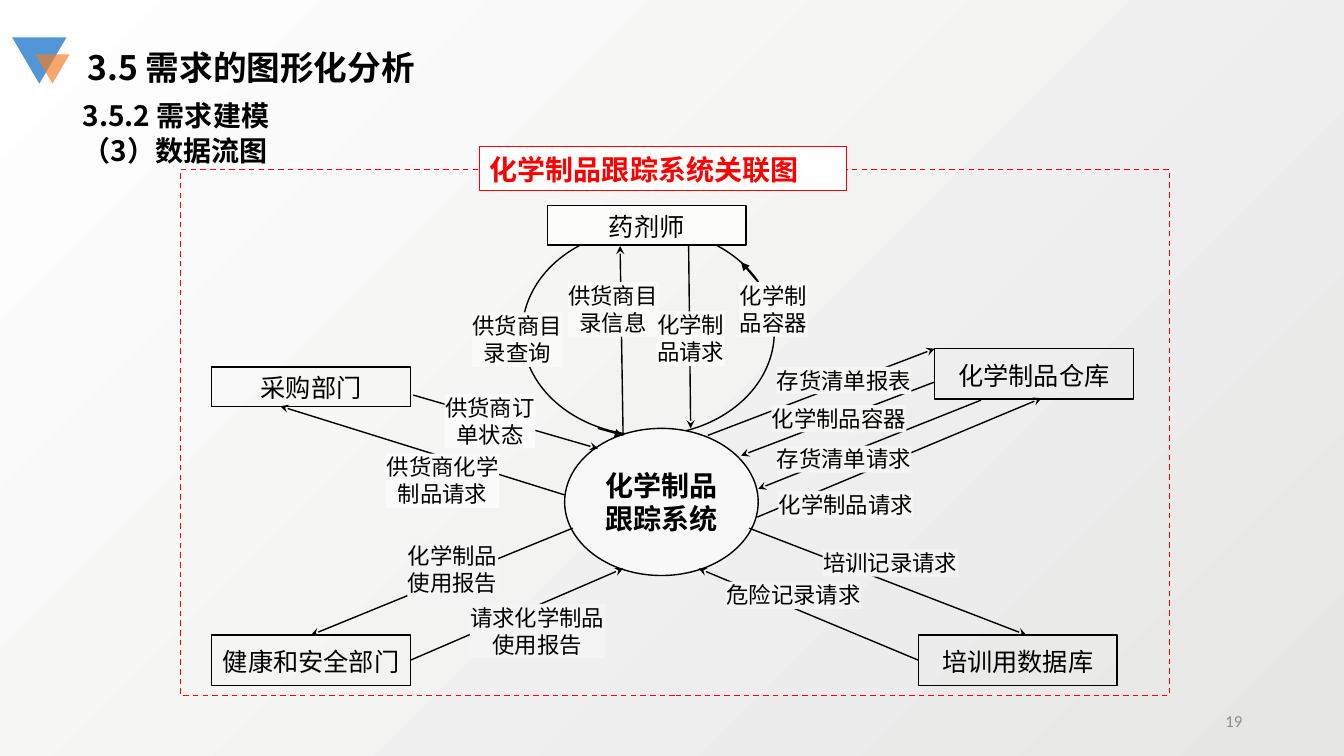
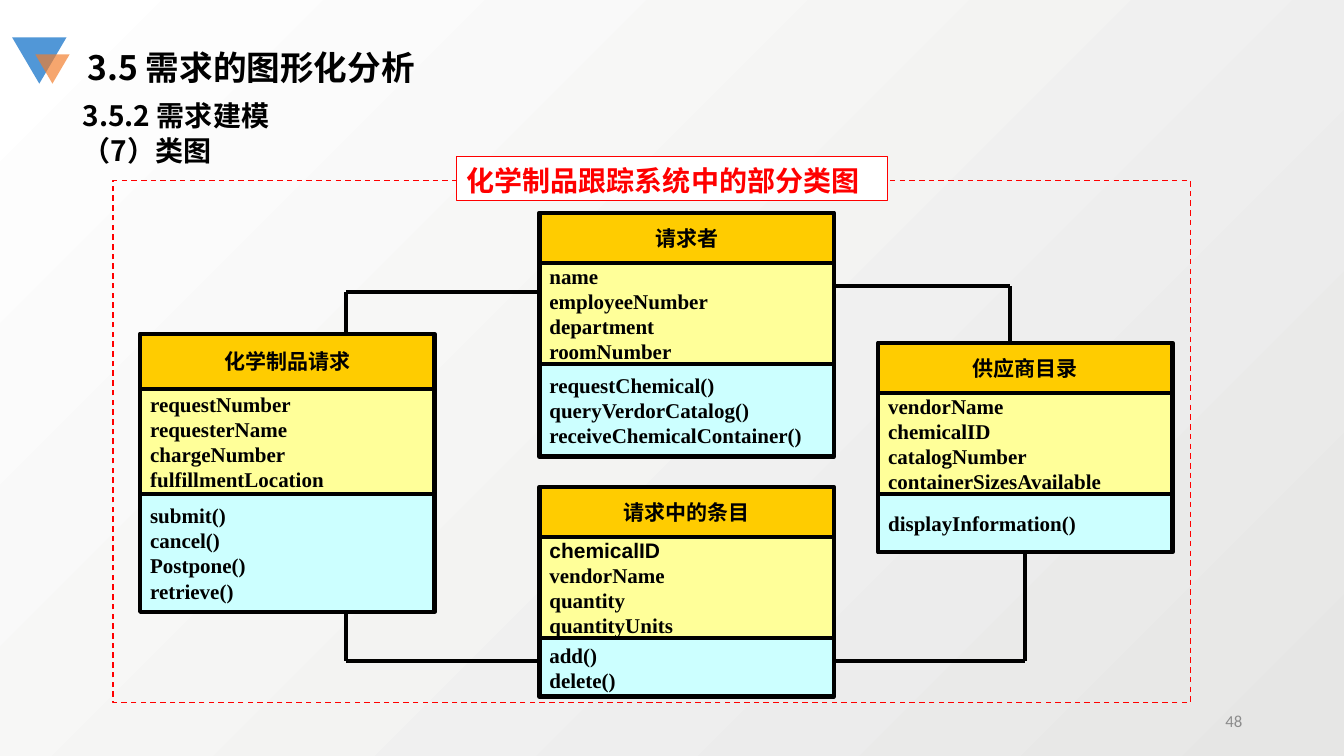
from lxml.etree import SubElement
from pptx import Presentation
from pptx.dml.color import RGBColor
from pptx.enum.dml import MSO_LINE
from pptx.enum.shapes import MSO_CONNECTOR, MSO_SHAPE as Kind
from pptx.enum.text import MSO_ANCHOR as Anchor, MSO_AUTO_SIZE as Fit, PP_ALIGN as Align
from pptx.oxml.ns import qn
from pptx.util import Inches, Pt

hue = RGBColor.from_string
NOTO, TIMES = "Noto Sans CJK SC", "Times New Roman"
BLACK, RED, WHITE = "000000", "FF0000", "FFFFFF"
BLUE, ORANGE, GRAY = "5197D7", "F37D2A", "8C8C8C"
GOLD, YELLOW, CYAN = "FFCC00", "FFFF99", "CCFFFF"


def draw(slide, kind, box, fill=None, line=None, width=1):
    shape = slide.shapes.add_shape(kind, *[Inches(v) for v in box])
    shape.shadow.inherit = False
    if fill:
        shape.fill.solid()
        shape.fill.fore_color.rgb = hue(fill)
    else:
        shape.fill.background()
    if line:
        shape.line.color.rgb = hue(line)
        shape.line.width = Pt(width)
    else:
        shape.line.fill.background()
    return shape


def write(shape, lines, size, bold=False, color=BLACK, font=NOTO,
          align=Align.CENTER, anchor=Anchor.MIDDLE, lead=1.2):
    """Fill the shape with one paragraph per line; lead is line pitch over size."""
    frame = shape.text_frame
    frame.word_wrap = True
    frame.auto_size = Fit.NONE
    frame.vertical_anchor = anchor
    for i, line in enumerate(lines):
        para = frame.add_paragraph() if i else frame.paragraphs[0]
        para.alignment = align
        para.line_spacing = Pt(size * lead)
        para.space_before = Pt(0)
        run = para.add_run()
        run.text = line
        run.font.size = Pt(size)
        run.font.bold = bold
        run.font.color.rgb = hue(color)
        run.font.name = font
        SubElement(run.font._element, qn("a:ea"), typeface=NOTO)


deck = Presentation()
deck.slide_width, deck.slide_height = Inches(13.33), Inches(7.5)
back = deck.slide_master.background.fill
back.gradient()
back.gradient_angle = 135
for stop, color in zip(back.gradient_stops, ("E6E6E5", WHITE)):
    stop.color.rgb = hue(color)

# Shared heading, corner mark, dashed frame, banner and page number
pages = [
    ("（3）数据流图", "19", (1.79, 1.68, 9.81, 5.22),
     "化学制品跟踪系统关联图", (4.76, 1.45, 3.64, 0.44)),
    ("（7）类图", "48", (1.12, 1.79, 10.69, 5.18),
     "化学制品跟踪系统中的部分类图", (4.53, 1.55, 4.27, 0.44)),
]
for topic, number, area, caption, place in pages:
    slide = deck.slides.add_slide(deck.slide_layouts[1])
    title, body = slide.placeholders
    heads = [
        (title, (0.77, 0.4, 4.42, 0.5), ["3.5 需求的图形化分析"], 24),
        (body, (0.72, 0.91, 8.49, 0.77), ["3.5.2 需求建模", topic], 20),
    ]
    for holder, box, lines, size in heads:
        holder.left, holder.top, holder.width, holder.height = [Inches(v) for v in box]
        write(holder, lines, size, True, align=Align.LEFT, anchor=Anchor.TOP, lead=1.25)
    for para in body.text_frame.paragraphs:
        props = para._p.get_or_add_pPr()
        props.set("marL", "0")
        props.set("indent", "0")
        SubElement(props, qn("a:buNone"))

    for box, color in [((0.12, 0.37, 0.54, 0.46), BLUE), ((0.35, 0.54, 0.34, 0.29), ORANGE)]:
        mark = draw(slide, Kind.ISOSCELES_TRIANGLE, box, color)
        mark.rotation = 180
    tint = mark.fill._xPr.find(qn("a:solidFill"))[0]
    SubElement(tint, qn("a:alpha"), val="68000")

    border = draw(slide, Kind.RECTANGLE, area, line=RED)
    border.line.dash_style = MSO_LINE.DASH
    banner = draw(slide, Kind.RECTANGLE, place, WHITE, RED, 0.75)
    write(banner, [caption], 20, True, RED, align=Align.LEFT, lead=1.3)
    foot = slide.shapes.add_textbox(Inches(9.42), Inches(6.95), Inches(3), Inches(0.4))
    write(foot, [number], 12, color=GRAY, font="Calibri", align=Align.RIGHT)

flow, model = deck.slides

# Data flow: the system and the parties around it
draw(flow, Kind.OVAL, (5.18, 2.27, 2.5, 2.05), line=BLACK)
parties = [
    ("药剂师", 5.43, 2.04, 0.39, "FCFCFB"),
    ("采购部门", 2.1, 3.64, 0.39, None),
    ("化学制品仓库", 9.27, 3.46, 0.5, None),
    ("健康和安全部门", 2.1, 6.3, 0.5, None),
    ("培训用数据库", 9.11, 6.3, 0.5, None),
]
nodes = {}
for name, x, y, high, fill in parties:
    nodes[name] = draw(flow, Kind.RECTANGLE, (x, y, 1.97, high), fill, BLACK)
    write(nodes[name], [name], 18, lead=1.3)
    nodes[name].text_frame.margin_left = nodes[name].text_frame.margin_right = 0
hub = draw(flow, Kind.OVAL, (5.6, 4.25, 1.92, 1.46), "F8F8F8", BLACK)
write(hub, ["化学制品", "跟踪系统"], 20, True)

# Class boxes: name, attributes and operations stacked
classes = [
    (5.35, 2.11, (0.5, 1, 0.92), "请求者",
     ["name", "employeeNumber", "department", "roomNumber"],
     ["requestChemical()", "queryVerdorCatalog()", "receiveChemicalContainer()"]),
    (8.71, 3.4, (0.5, 1, 0.58), "供应商目录",
     ["vendorName", "chemicalID", "catalogNumber", "containerSizesAvailable"],
     ["displayInformation()"]),
    (1.39, 3.31, (0.55, 1.04, 1.17), "化学制品请求",
     ["requestNumber", "requesterName", "chargeNumber", "fulfillmentLocation"],
     ["submit()", "cancel()", "Postpone()", "retrieve()"]),
    (5.35, 4.83, (0.5, 1, 0.58), "请求中的条目",
     ["chemicalID", "vendorName", "quantity", "quantityUnits"],
     ["add()", "delete()"]),
]
for x, y, highs, name, fields, calls in classes:
    for high, fill, lines in zip(highs, (GOLD, YELLOW, CYAN), ([name], fields, calls)):
        part = draw(model, Kind.RECTANGLE, (x, y, 2.92, high), fill, BLACK, 3)
        align = Align.CENTER if fill == GOLD else Align.LEFT
        write(part, lines, 15, True, font=TIMES, align=align)
        if fill == YELLOW and lines[0] == "chemicalID":
            part.text_frame.paragraphs[0].runs[0].font.name = "Arial"
        y += high
    nodes["class " + name] = part

# Lines of both slides; an end is a point, or a node and its side
arrows = [
    ((7.51, 5.13), (10.33, 3.95)),
    ((5.68, 5.24), ("健康和安全部门", 0)),
    (("健康和安全部门", 3), (6.18, 5.64)),
    ((7.43, 5.24), (10.18, 6.3)),
    (("培训用数据库", 1), (6.93, 5.64)),
    ((5.6, 4.91), (2.78, 4.03)),
    ((4.1, 3.92), (5.93, 4.45)),
    ((9.27, 3.79), (7.35, 4.52)),
    ((7.02, 4.32), (9.27, 3.46)),
    ((9.73, 3.97), (7.52, 4.85)),
    ((6.18, 4.32), (6.15, 2.44)),
    ((6.83, 2.44), (6.85, 4.25)),
]
tips = [((5.93, 4.25), (6.18, 4.32)), ((7.52, 2.8), (7.35, 2.6))]
ties = [
    ((5.35, 2.9), (3.43, 2.9)), ((3.43, 2.9), (3.43, 3.31)),
    ((3.43, 6.06), (3.43, 6.56)), ((3.43, 6.56), (5.35, 6.56)),
    ((10.02, 2.84), (8.27, 2.84)), ((10.02, 2.84), (10.02, 3.4)),
    ((8.27, 6.56), (10.17, 6.56)), (("class 供应商目录", 2), (10.17, 6.56)),
]
groups = [(flow, arrows, 1, "stealth"), (flow, tips, 1, "triangle"), (model, ties, 3, None)]
for slide, links, width, head in groups:
    for ends in links:
        spots = [(0, 0) if isinstance(end[0], str) else end for end in ends]
        link = slide.shapes.add_connector(
            MSO_CONNECTOR.STRAIGHT, *[Inches(v) for spot in spots for v in spot])
        for end, join in zip(ends, (link.begin_connect, link.end_connect)):
            if isinstance(end[0], str):
                join(nodes[end[0]], end[1])
        link.line.color.rgb = hue(BLACK)
        link.line.width = Pt(width)
        if head:
            SubElement(link.line._get_or_add_ln(), qn("a:tailEnd"), type=head)
        SubElement(link._element.spPr, qn("a:effectLst"))

# Flow labels cover the lines they name
labels = [
    ("F4F4F4", 4.04, 5.38, ["化学制品", "使用报告"]),
    ("F4F4F4", 4.66, 5.99, ["请求化学制品", "使用报告"]),
    ("F4F4F4", 8.16, 5.45, ["培训记录请求"]),
    ("F4F4F4", 7.2, 5.77, ["危险记录请求"]),
    ("FBFBFB", 4.41, 3.91, ["供货商订", "单状态"]),
    ("FBFBFB", 3.83, 4.5, ["供货商化学", "制品请求"]),
    ("F5F5F4", 7.65, 4.02, ["化学制品容器"]),
    ("F5F5F4", 7.7, 3.64, ["存货清单报表"]),
    ("F5F5F4", 7.7, 4.42, ["存货清单请求"]),
    ("F5F5F4", 7.72, 4.87, ["化学制品请求"]),
    ("FAFAF9", 4.68, 3.1, ["供货商目", "录查询"]),
    ("FAFAF9", 5.63, 2.8, ["供货商目", "录信息"]),
    ("FAFAF9", 6.51, 3.09, ["化学制", "品请求"]),
    ("FAFAF9", 7.33, 2.8, ["化学制", "品容器"]),
]
for fill, x, y, lines in labels:
    wide = 0.22 * len(lines[0]) + 0.02
    label = draw(flow, Kind.RECTANGLE, (x, y, wide, 0.27 * len(lines)), fill)
    write(label, lines, 16, anchor=Anchor.TOP)
    frame = label.text_frame
    frame.margin_left = frame.margin_right = frame.margin_top = frame.margin_bottom = 0
    frame.word_wrap = False
    frame.auto_size = Fit.SHAPE_TO_FIT_TEXT

deck.save("out.pptx")
